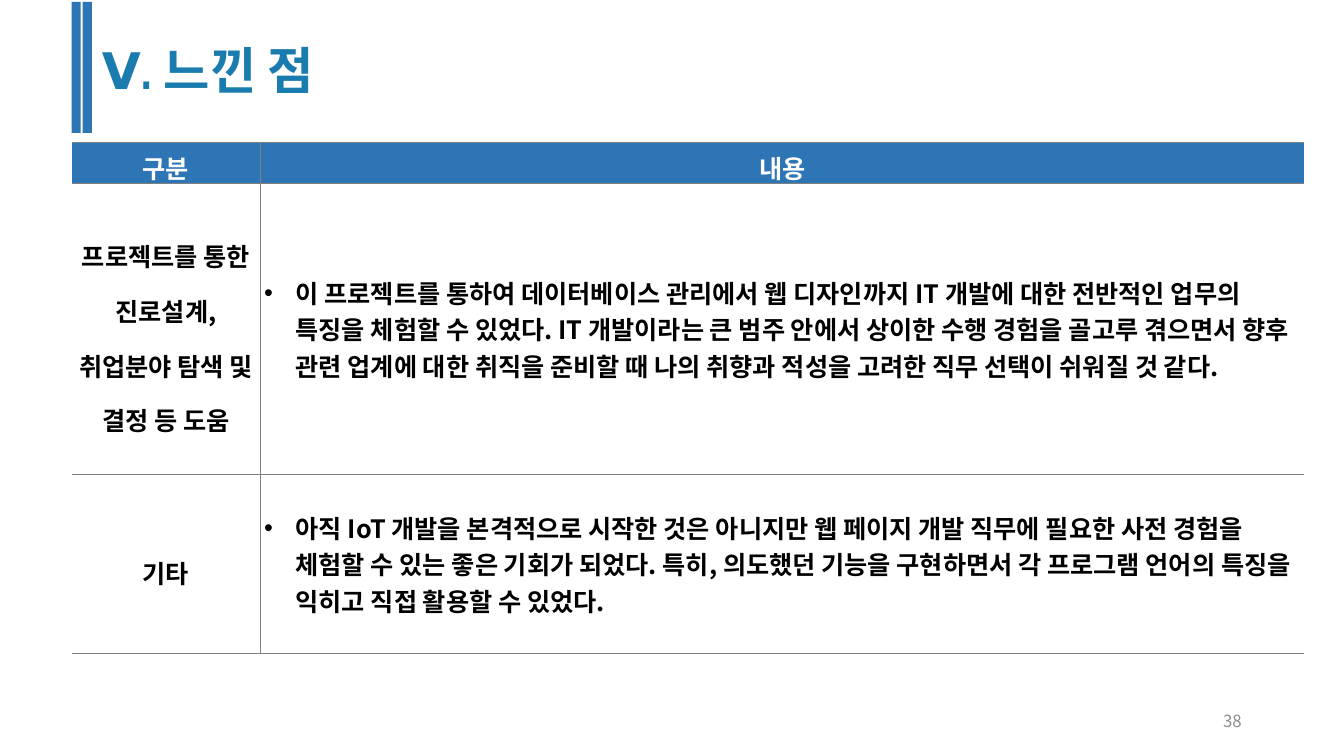
from lxml import etree
from pptx import Presentation
from pptx.dml.color import RGBColor
from pptx.enum.shapes import MSO_SHAPE as Shape
from pptx.enum.text import MSO_ANCHOR as Anchor, MSO_AUTO_SIZE as AutoSize, PP_ALIGN as Align
from pptx.oxml.ns import qn
from pptx.util import Pt

COLORS = {"title": "1A7BAE", "blue": "2E75B6", "line": "808080",
          "white": "FFFFFF", "black": "000000", "number": "8C8C8C"}
KOREAN = "Noto Sans CJK KR"
INDENT = 22.5

HEADER = ["구분", "내용"]
ROWS = [
    (["프로젝트를 통한 진로설계,", "취업분야 탐색 및 결정 등 도움"],
     "이 프로젝트를 통하여 데이터베이스 관리에서 웹 디자인까지 IT 개발에 대한 전반적인 업무의 "
     "특징을 체험할 수 있었다. IT 개발이라는 큰 범주 안에서 상이한 수행 경험을 골고루 겪으면서 "
     "향후 관련 업계에 대한 취직을 준비할 때 나의 취향과 적성을 고려한 직무 선택이 쉬워질 것 같다."),
    (["기타"],
     "아직 IoT 개발을 본격적으로 시작한 것은 아니지만 웹 페이지 개발 직무에 필요한 사전 경험을 "
     "체험할 수 있는 좋은 기회가 되었다. 특히, 의도했던 기능을 구현하면서 각 프로그램 언어의 "
     "특징을 익히고 직접 활용할 수 있었다."),
]


def rgb(name):
    return RGBColor.from_string(COLORS[name])


def write(frame, lines, size=18, color="black", bold=True, font=KOREAN,
          align=Align.LEFT, spacing=None, bullet=False):
    for index, line in enumerate(lines):
        para = frame.paragraphs[0] if index == 0 else frame.add_paragraph()
        para.alignment = align
        if spacing:
            para.line_spacing = spacing
        if bullet:
            props = para._p.get_or_add_pPr()
            props.set("marL", str(Pt(INDENT)))
            props.set("indent", str(-Pt(INDENT)))
            etree.SubElement(props, qn("a:buFont"), typeface="Arial")
            etree.SubElement(props, qn("a:buChar"), char="•")
        span = para.add_run()
        span.text = line
        span.font.size = Pt(size)
        span.font.bold = bold
        span.font.color.rgb = rgb(color)
        span.font.name = font
        etree.SubElement(span._r.get_or_add_rPr(), qn("a:ea"), typeface=KOREAN)


def set_borders(cell, sides):
    """Draw the given sides of a cell and clear the others."""
    props = cell._tc.get_or_add_tcPr()
    for side in "LRTB":
        line = etree.SubElement(props, qn(f"a:ln{side}"), w=str(Pt(0.5)))
        if side in sides:
            fill = etree.SubElement(line, qn("a:solidFill"))
            etree.SubElement(fill, qn("a:srgbClr"), val=COLORS["line"])
        else:
            etree.SubElement(line, qn("a:noFill"))


def add_text(page, box, lines, anchor=Anchor.TOP, grow=False, **style):
    frame = page.shapes.add_textbox(*map(Pt, box)).text_frame
    frame.word_wrap = True
    frame.vertical_anchor = anchor
    if grow:
        frame.auto_size = AutoSize.SHAPE_TO_FIT_TEXT
    write(frame, lines, **style)


def add_heading(page, left, top, width, height):
    # Title beside the twin bars
    add_text(page, (left + 14.4, top + 23, width - 14.4, 51), ["Ⅴ. 느낀 점"], grow=True,
             size=36, color="title", font="Arial Narrow")
    bars = page.shapes.add_group_shape()
    for index in range(2):
        bar = bars.shapes.add_shape(Shape.RECTANGLE, Pt(left + index * 7.9), Pt(top),
                                    Pt(6.5), Pt(height))
        bar.shadow.inherit = False
        bar.fill.solid()
        bar.fill.fore_color.rgb = rgb("blue")
        bar.line.fill.background()


def add_reflections(page, left, top, widths, heights):
    table = page.shapes.add_table(len(heights), len(widths), Pt(left), Pt(top),
                                  Pt(sum(widths)), Pt(sum(heights))).table
    table.horz_banding = False
    for column, width in zip(table.columns, widths):
        column.width = Pt(width)
    for row, height in zip(table.rows, heights):
        row.height = Pt(height)

    # Cell margins, rules and fills
    for r, row in enumerate(table.rows):
        for c, cell in enumerate(row.cells):
            cell.margin_left = Pt(2.8 if r and c else 0)
            cell.margin_right = cell.margin_top = cell.margin_bottom = 0
            cell.vertical_anchor = Anchor.MIDDLE
            set_borders(cell, "LTB" if c else "RTB")
            if r:
                cell.fill.background()
            else:
                cell.fill.solid()
                cell.fill.fore_color.rgb = rgb("blue")

    # Wording
    for c, label in enumerate(HEADER):
        write(table.cell(0, c).text_frame, [label], color="white",
              align=Align.CENTER, spacing=1.2)
    for r, (topic, opinion) in enumerate(ROWS, start=1):
        write(table.cell(r, 0).text_frame, topic, align=Align.CENTER, spacing=1.5)
        write(table.cell(r, 1).text_frame, [opinion], bullet=True)


def main():
    deck = Presentation()
    deck.slide_width, deck.slide_height = Pt(960), Pt(540)
    page = deck.slides.add_slide(deck.slide_layouts[6])
    add_heading(page, 51.2, 1.4, 550, 93.6)
    add_reflections(page, 51.2, 101.6, [134.7, 745.9], [29.6, 207.4, 128.3])
    # Page number
    add_text(page, (678, 500.5, 216, 28.8), ["38"], anchor=Anchor.MIDDLE,
             size=12, color="number", bold=False, align=Align.RIGHT)
    deck.save("out.pptx")


if __name__ == "__main__":
    main()
